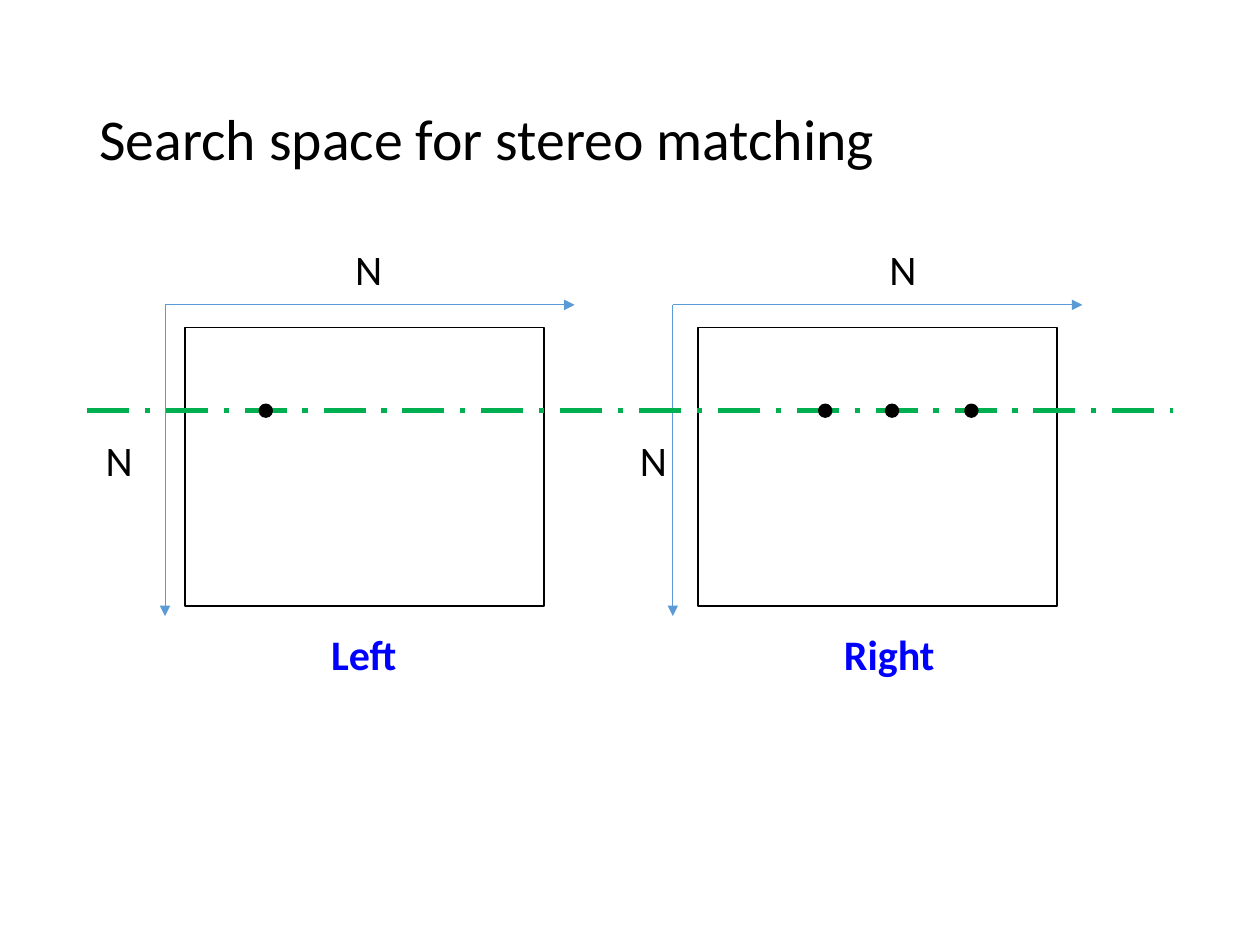
from dataclasses import dataclass

from lxml.etree import SubElement
from pptx import Presentation
from pptx.dml.color import RGBColor
from pptx.enum.dml import MSO_LINE
from pptx.enum.shapes import MSO_CONNECTOR, MSO_SHAPE
from pptx.enum.text import MSO_ANCHOR
from pptx.oxml.ns import qn
from pptx.util import Inches, Pt


@dataclass(frozen=True)
class Theme:
    """Colours, font and sizes of the slide."""
    font: str = "Calibri"
    ink: RGBColor = RGBColor(0, 0, 0)
    paper: RGBColor = RGBColor(255, 255, 255)
    caption: RGBColor = RGBColor(0, 0, 255)
    axis: RGBColor = RGBColor(0x5B, 0x9B, 0xD5)
    scanline: RGBColor = RGBColor(0, 0xB0, 0x50)
    title_size: int = 33
    label_size: int = 24


THEME = Theme()
DOT = 0.1


def add_text(shapes, box, text, size=THEME.label_size, color=THEME.ink, bold=False, wrap=False):
    """Add a one-run text box and return its text frame."""
    tf = shapes.add_textbox(*map(Inches, box)).text_frame
    tf.word_wrap = wrap
    r = tf.paragraphs[0].add_run()
    r.text = text
    r.font.name, r.font.size, r.font.bold = THEME.font, Pt(size), bold
    r.font.color.rgb = color
    return tf


def add_outlined(shapes, kind, box, fill):
    """Add a filled shape with a thin dark outline."""
    s = shapes.add_shape(kind, *map(Inches, box))
    s.shadow.inherit = False
    s.fill.solid()
    s.fill.fore_color.rgb = fill
    s.line.color.rgb = THEME.ink
    s.line.width = Pt(1)


def add_line(shapes, start, end, color, width):
    """Add a straight connector without a shadow and return it."""
    s = shapes.add_connector(MSO_CONNECTOR.STRAIGHT, *map(Inches, (*start, *end)))
    s.line.color.rgb = color
    s.line.width = Pt(width)
    SubElement(s._element.spPr, qn("a:effectLst"))
    return s


def add_title(shapes, box, text):
    """Place the slide title in the middle of its box."""
    tf = add_text(shapes, box, text, THEME.title_size, wrap=True)
    tf.vertical_anchor = MSO_ANCHOR.MIDDLE
    tf.paragraphs[0].line_spacing = 0.9


def add_axes(shapes, x, y, width, height):
    """Group two arrows that run right and down from one origin."""
    group = shapes.add_group_shape()
    for end in ((x + width, y), (x, y + height)):
        s = add_line(group.shapes, (x, y), end, THEME.axis, 0.5)
        SubElement(s.line._get_or_add_ln(), qn("a:tailEnd"), type="triangle")


def add_view(shapes, box, caption, caption_width, axis_x, label_x):
    """Place one camera view with its caption, axes and size labels."""
    x, y, width, height = box
    add_outlined(shapes, MSO_SHAPE.RECTANGLE, box, THEME.paper)
    add_text(shapes, (x + 1.06, y + height + 0.13, caption_width, 0.5), caption,
             color=THEME.caption, bold=True)
    add_axes(shapes, axis_x, y - 0.18, width + 0.4, height + 0.26)
    for left, top in ((label_x + 1.98, y - 0.72), (label_x, y + 0.8)):
        add_text(shapes, (left, top, 0.42, 0.5), "N")


def add_scanline(shapes, left, y, width, dots):
    """Draw the dashed search line with candidate points on it."""
    s = add_line(shapes, (left, y), (left + width, y), THEME.scanline, 3)
    s.line.dash_style = MSO_LINE.LONG_DASH_DOT
    for x in dots:
        add_outlined(shapes, MSO_SHAPE.OVAL, (x, y - DOT / 2, DOT, DOT), THEME.ink)


def main():
    """Build and save the slide."""
    prs = Presentation()
    prs.slide_width, prs.slide_height = Inches(10), Inches(7.5)
    shapes = prs.slides.add_slide(prs.slide_layouts[6]).shapes
    add_title(shapes, (0.69, 0.4, 8.62, 1.45), "Search space for stereo matching")
    add_view(shapes, (1.47, 2.6, 2.85, 2.21), "Left", 0.74, axis_x=1.31, label_x=0.74)
    add_view(shapes, (5.54, 2.6, 2.85, 2.21), "Right", 0.93, axis_x=5.34, label_x=4.98)
    add_scanline(shapes, 0.69, 3.26, 8.62, dots=(2.06, 6.5, 7.03, 7.66))
    prs.save("out.pptx")


if __name__ == "__main__":
    main()
